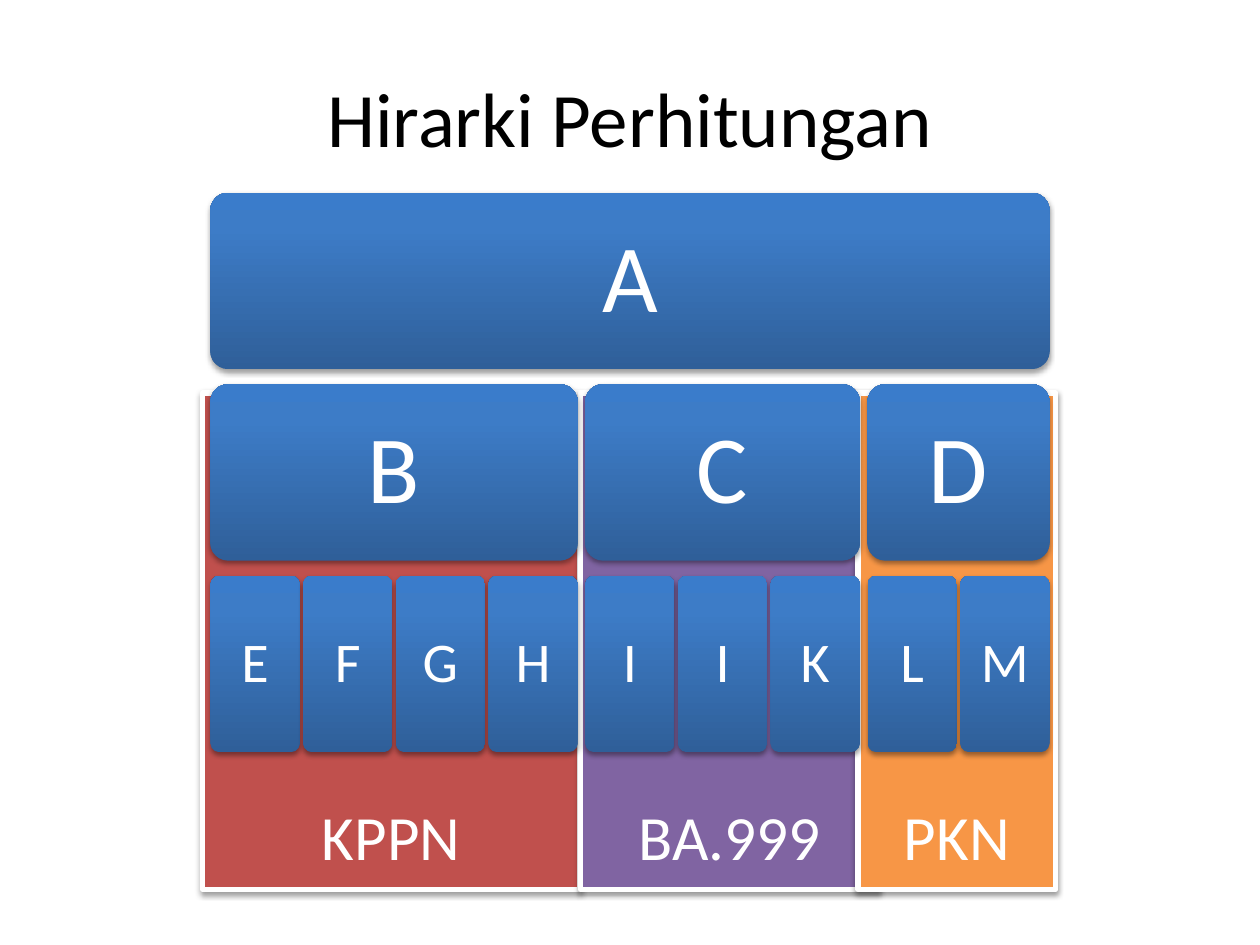
from copy import deepcopy

from lxml.etree import SubElement
from pptx import Presentation
from pptx.dml.color import RGBColor
from pptx.enum.shapes import MSO_SHAPE as Shape
from pptx.enum.text import MSO_ANCHOR as Anchor, PP_ALIGN as Align
from pptx.oxml.ns import qn
from pptx.util import Inches, Pt

COLORS = {"text": "000000", "white": "FFFFFF", "shadow": "000000",
          "red": "C0504D", "purple": "8064A2", "orange": "F79646"}
CARD_STOPS = [(0, "2F5F99"), (0.8, "3D7CC7"), (1, "3A7CCB")]

# Card grid: nine columns, three rows, a wider gap between groups
LEFT, TOP = 1.67, 1.53
CARD_W, CARD_H = 0.71, 1.4
COL, ROW = 0.735, 1.52
GROUP_GAP = 0.035
PANEL_TOP, PANEL_H = 3.12, 3.94

# parent letter, child letters, unit, colour, panel left, panel width
GROUPS = [("B", "EFGH", "KPPN", "red", 1.61, 2.99),
          ("C", "IIK", "BA.999", "purple", 4.61, 2.36),
          ("D", "LM", "PKN", "orange", 6.81, 1.57)]

prs = Presentation()
prs.slide_width, prs.slide_height = Inches(10), Inches(7.5)
slide = prs.slides.add_slide(prs.slide_layouts[6])


def write(s, text, size, color, anchor=Anchor.MIDDLE, spacing=None):
    """Put one centred line of text in a shape."""
    tf = s.text_frame
    tf.word_wrap = True
    tf.vertical_anchor = anchor
    tf.margin_left = tf.margin_right = 0
    tf.margin_top = tf.margin_bottom = Inches(0.13)
    p = tf.paragraphs[0]
    p.alignment = Align.CENTER
    p.line_spacing = spacing
    r = p.add_run()
    r.text = text
    r.font.size, r.font.name = Pt(size), "Calibri"
    r.font.color.rgb = RGBColor.from_string(COLORS[color])


def add_block(kind, x, y, w, h):
    """Add a shape with a soft shadow below it."""
    s = slide.shapes.add_shape(kind, Inches(x), Inches(y), Inches(w), Inches(h))
    s.shadow.inherit = False
    effects = s._element.spPr.find(qn("a:effectLst"))
    shadow = SubElement(effects, qn("a:outerShdw"), blurRad=str(Pt(3.1)),
                        dist=str(Pt(1.6)), dir="5400000", rotWithShape="0")
    color = SubElement(shadow, qn("a:srgbClr"), val=COLORS["shadow"])
    SubElement(color, qn("a:alpha"), val="38000")
    return s


title = slide.shapes.add_textbox(Inches(0.5), Inches(0.3), Inches(9), Inches(1.25))
write(title, "Hirarki Perhitungan", 44, "text")

for _, _, unit, color, x, w in GROUPS:
    panel = add_block(Shape.RECTANGLE, x, PANEL_TOP, w, PANEL_H)
    panel.fill.solid()
    panel.fill.fore_color.rgb = RGBColor.from_string(COLORS[color])
    panel.line.color.rgb = RGBColor.from_string(COLORS["white"])
    panel.line.width = Pt(3)
    write(panel, unit, 36, "white", Anchor.BOTTOM)

# Each card: letter, left, row, width, text size
cards = []
x = LEFT
for parent, children, *_ in GROUPS:
    width = (len(children) - 1) * COL + CARD_W
    cards.append((parent, x, 1, width, 55))
    for i, child in enumerate(children):
        cards.append((child, x + i * COL, 2, CARD_W, 32))
    right = x + width
    x += len(children) * COL + GROUP_GAP
cards.insert(0, ("A", LEFT, 0, right - LEFT, 55))

for letter, x, row, w, size in cards:
    card = add_block(Shape.ROUNDED_RECTANGLE, x, TOP + row * ROW, w, CARD_H)
    card.adjustments[0] = 0.1
    card.line.fill.background()
    card.fill.gradient()
    card.fill.gradient_angle = 90
    stops = card._element.spPr.find(qn("a:gradFill")).find(qn("a:gsLst"))
    stops.insert(1, deepcopy(stops[0]))
    for stop, (position, color) in zip(card.fill.gradient_stops, CARD_STOPS):
        stop.position = position
        stop.color.rgb = RGBColor.from_string(color)
    write(card, letter, size, "white", spacing=0.9)

prs.save("out.pptx")
